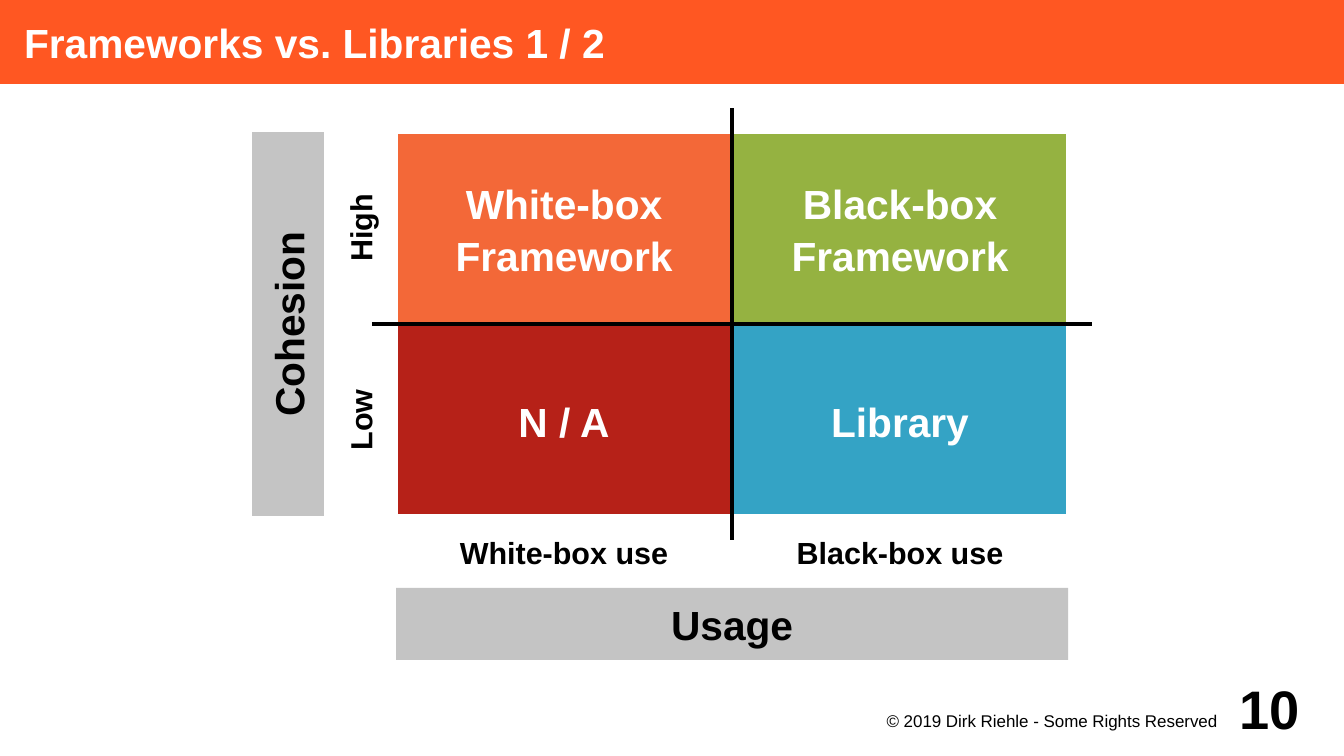
from dataclasses import dataclass

from lxml import etree
from pptx import Presentation
from pptx.dml.color import RGBColor
from pptx.enum.shapes import MSO_CONNECTOR, MSO_SHAPE
from pptx.enum.text import MSO_ANCHOR, MSO_AUTO_SIZE, PP_ALIGN
from pptx.oxml.ns import qn
from pptx.util import Emu, Pt

RECTANGLE = MSO_SHAPE.RECTANGLE
STRAIGHT = MSO_CONNECTOR.STRAIGHT
TOP, MIDDLE = MSO_ANCHOR.TOP, MSO_ANCHOR.MIDDLE
LEFT, CENTER, RIGHT = PP_ALIGN.LEFT, PP_ALIGN.CENTER, PP_ALIGN.RIGHT
NO_FIT = MSO_AUTO_SIZE.NONE

WHITE = RGBColor(0xFF, 0xFF, 0xFF)
BLACK = RGBColor(0x00, 0x00, 0x00)
BANNER = RGBColor(0xFF, 0x57, 0x22)
GRAY = RGBColor(0xC4, 0xC4, 0xC4)
ORANGE = RGBColor(0xF3, 0x68, 0x38)
GREEN = RGBColor(0x95, 0xB2, 0x41)
RED = RGBColor(0xB6, 0x21, 0x18)
BLUE = RGBColor(0x34, 0xA3, 0xC5)

EMU_PER_PX = 7495
PAGE_WIDTH, PAGE_HEIGHT = 1344, 756
GRID_LEFT, GRID_TOP = 396, 132
CELL_WIDTH, CELL_HEIGHT = 336, 192
BAND = 72
OVERHANG = 24
LINE_WIDTH = Pt(2.83)


@dataclass(frozen=True)
class Area:
    left: int
    top: int
    width: int
    height: int

    def emu(self) -> tuple[Emu, Emu, Emu, Emu]:
        return px(self.left), px(self.top), px(self.width), px(self.height)

    def turned(self) -> "Area":
        shift = (self.width - self.height) // 2
        return Area(self.left + shift, self.top - shift, self.height, self.width)


@dataclass(frozen=True)
class Quadrant:
    column: int
    row: int
    text: str
    color: RGBColor


QUADRANTS = [
    Quadrant(0, 0, "White-box\nFramework", ORANGE),
    Quadrant(1, 0, "Black-box\nFramework", GREEN),
    Quadrant(0, 1, "N / A", RED),
    Quadrant(1, 1, "Library", BLUE),
]
USAGE_LEVELS = ["White-box use", "Black-box use"]
COHESION_LEVELS = ["High", "Low"]


def px(length: int) -> Emu:
    return Emu(length * EMU_PER_PX)


def write(shape, text: str, *, size: int = 24, color: RGBColor = BLACK, bold: bool = True,
          align=CENTER, anchor=MIDDLE, insets: tuple[int, int, int, int] = (0, 0, 0, 0),
          spacing: float = 1.0) -> None:
    frame = shape.text_frame
    frame.auto_size = NO_FIT
    frame.word_wrap = True
    frame.vertical_anchor = anchor
    frame.margin_left, frame.margin_top, frame.margin_right, frame.margin_bottom = map(px, insets)
    frame.text = text
    for para in frame.paragraphs:
        para.alignment = align
        para.line_spacing = spacing
        for span in para.runs:
            span.font.name = "Arial"
            span.font.size = Pt(size)
            span.font.bold = bold
            span.font.color.rgb = color


def add_box(page, area: Area, fill: RGBColor, border: RGBColor | None = None):
    box = page.shapes.add_shape(RECTANGLE, *area.emu())
    box.shadow.inherit = False
    box.fill.solid()
    box.fill.fore_color.rgb = fill
    if border is None:
        box.line.fill.background()
    else:
        box.line.color.rgb = border
        box.line.width = LINE_WIDTH
    return box


def add_label(page, area: Area, text: str, rotation: int = 0, **text_format) -> None:
    label = page.shapes.add_textbox(*area.emu())
    label.rotation = rotation
    write(label, text, **text_format)


def add_axis(page, left: int, top: int, right: int, bottom: int) -> None:
    axis = page.shapes.add_connector(STRAIGHT, px(left), px(top), px(right), px(bottom))
    axis.line.color.rgb = BLACK
    axis.line.width = LINE_WIDTH
    etree.SubElement(axis.element.spPr, qn("a:effectLst"))


def add_title(page) -> None:
    title = page.shapes.title
    title.left, title.top, title.width, title.height = Area(0, 0, PAGE_WIDTH, 84).emu()
    title.fill.solid()
    title.fill.fore_color.rgb = BANNER
    write(title, "Frameworks vs. Libraries 1 / 2", color=WHITE, align=LEFT, insets=(24, 0, 0, 0))


def add_matrix(page) -> None:
    grid_right = GRID_LEFT + 2 * CELL_WIDTH
    grid_bottom = GRID_TOP + 2 * CELL_HEIGHT
    middle_x = GRID_LEFT + CELL_WIDTH
    middle_y = GRID_TOP + CELL_HEIGHT

    for quadrant in QUADRANTS:
        area = Area(GRID_LEFT + quadrant.column * CELL_WIDTH,
                    GRID_TOP + quadrant.row * CELL_HEIGHT, CELL_WIDTH, CELL_HEIGHT)
        cell = add_box(page, area, quadrant.color, WHITE)
        write(cell, quadrant.text, color=WHITE, insets=(15, 9, 15, 9), spacing=1.05)

    add_axis(page, GRID_LEFT - OVERHANG, middle_y, grid_right + OVERHANG, middle_y)
    add_axis(page, middle_x, grid_bottom + OVERHANG, middle_x, GRID_TOP - OVERHANG)

    for column, level in enumerate(USAGE_LEVELS):
        area = Area(GRID_LEFT + column * CELL_WIDTH, grid_bottom, CELL_WIDTH, BAND)
        add_label(page, area, level, size=18, insets=(10, 10, 10, 10))
    for row, level in enumerate(COHESION_LEVELS):
        area = Area(GRID_LEFT - BAND, GRID_TOP + row * CELL_HEIGHT, BAND, CELL_HEIGHT)
        add_label(page, area.turned(), level, rotation=270, size=18, insets=(10, 10, 10, 10))

    usage = add_box(page, Area(GRID_LEFT, grid_bottom + BAND, 2 * CELL_WIDTH, BAND), GRAY)
    write(usage, "Usage")
    cohesion_area = Area(GRID_LEFT - 2 * BAND, GRID_TOP, BAND, 2 * CELL_HEIGHT)
    cohesion = add_box(page, cohesion_area.turned(), GRAY)
    cohesion.rotation = 270
    write(cohesion, "Cohesion")


def add_footer(page) -> None:
    add_label(page, Area(865, 709, 384, 36), "© 2019 Dirk Riehle - Some Rights Reserved",
              size=10, bold=False, align=RIGHT, anchor=TOP, insets=(0, 2, 32, 0))
    add_label(page, Area(1204, 672, 96, 72), "10", size=32, align=RIGHT)


def main() -> None:
    deck = Presentation()
    deck.slide_width, deck.slide_height = px(PAGE_WIDTH), px(PAGE_HEIGHT)
    page = deck.slides.add_slide(deck.slide_layouts.get_by_name("Title Only"))
    add_title(page)
    add_matrix(page)
    add_footer(page)
    deck.save("out.pptx")


if __name__ == "__main__":
    main()
